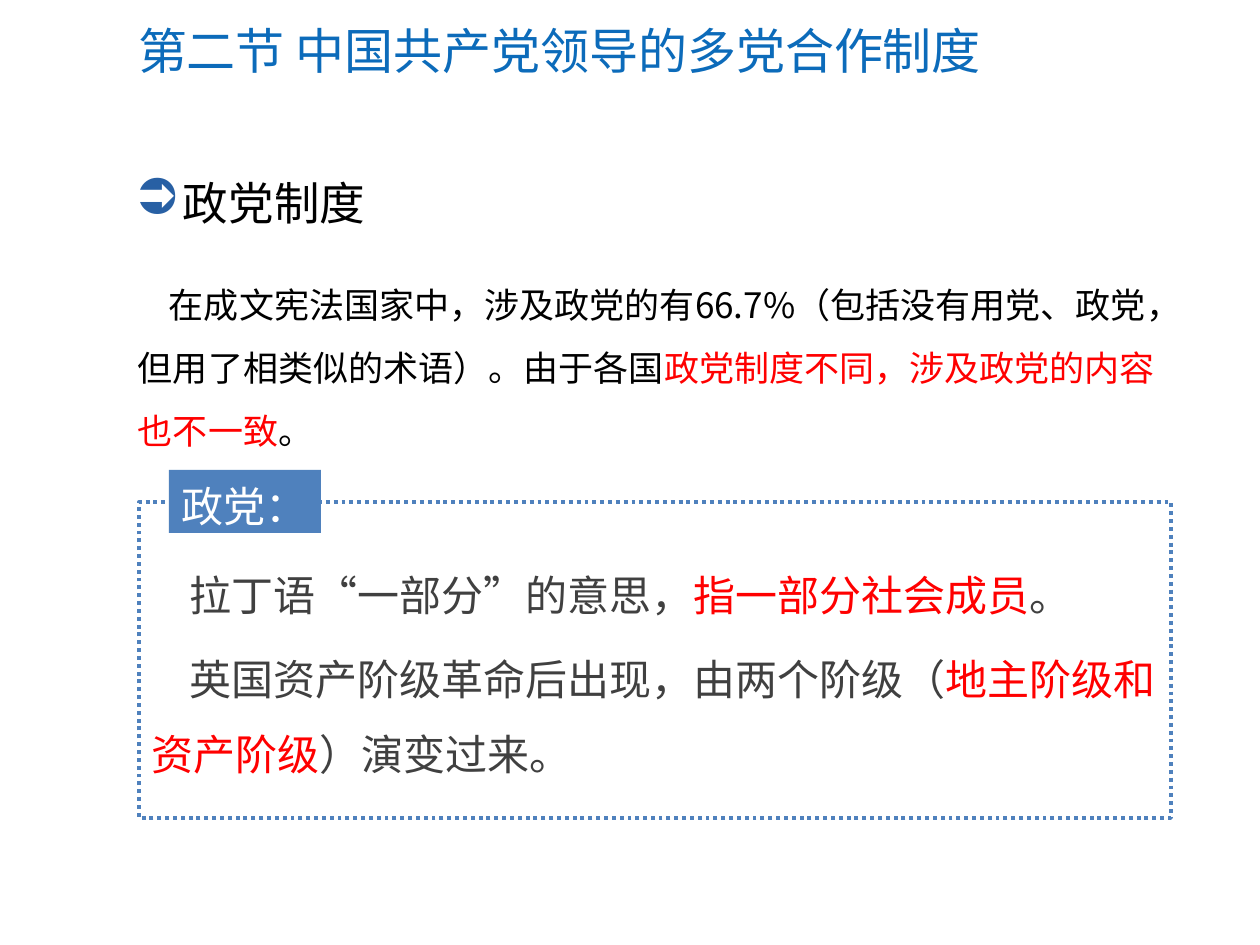
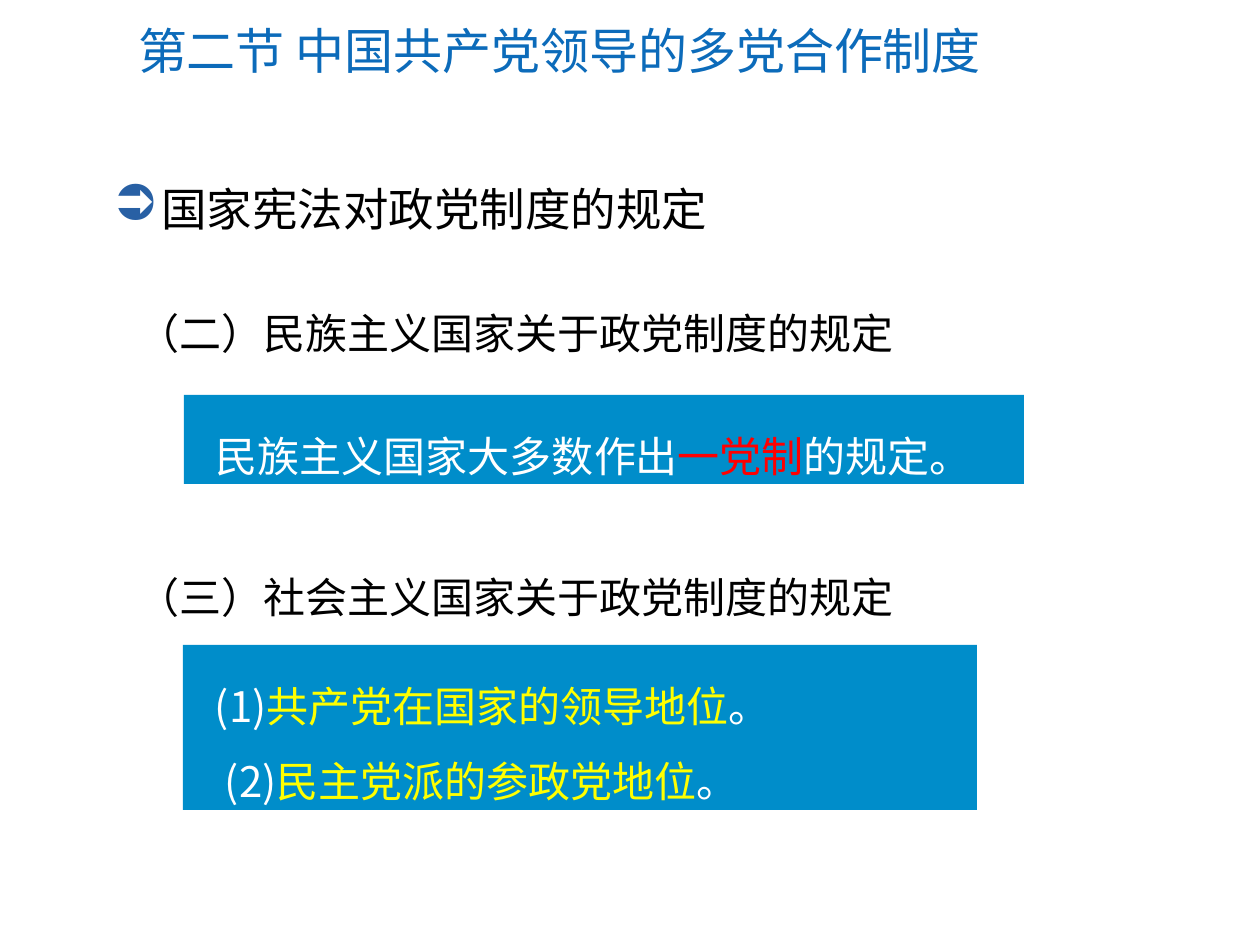
from lxml import etree
from pptx import Presentation
from pptx import util as u
from pptx.dml.color import RGBColor
from pptx.enum import dml, shapes, text
from pptx.oxml.ns import qn

EMU_PER_PX = 914400 / 126
SLIDE_SIZE = (1260, 945)
COLORS = {
    "title": "0C6BBA", "bullet": "2860A4", "black": "000000", "white": "FFFFFF",
    "red": "FF0000", "yellow": "FFFF00", "gray": "404040",
    "frame": "4F81BD", "panel": "008DCA",
}
HEAD_FONT, BODY_FONT = "Calibri", "Noto Sans CJK SC"
TITLE = "第二节 中国共产党领导的多党合作制度"
TITLE_BOX = (125, 13, 1099, 73)
HEADING_SIZE = (1051, 68)
HEADING_INDENT = 48
SINGLE, WIDE = 1.2, 1.8
INSETS = {"margin_left": 13, "margin_right": 13, "margin_top": 6, "margin_bottom": 6}
BODY_TOP = 10

SLIDES = [
    {
        "heading": ("政党制度", (122, 169)),
        "blocks": [
            {"box": (125, 253, 1047, 204), "size": 20, "paragraphs": [
                (31, [("在成文宪法国家中，涉及政党的有66.7%（包括没有用党、政党，但用了相类似的术语）。由于各国", "black"),
                      ("政党制度不同，涉及政党的内容也不一致", "red"), ("。", "black")])]},
            {"box": (139, 502, 1032, 316), "line": "frame", "top": 42, "gap": 4.8, "paragraphs": [
                (38, [("拉丁语“一部分”的意思，", "gray"), ("指一部分社会成员", "red"), ("。", "gray")]),
                (38, [("英国资产阶级革命后出现，由两个阶级（", "gray"),
                      ("地主阶级和资产阶级", "red"), ("）演变过来。", "gray")])]},
            {"box": (169, 470, 152, 63), "fill": "frame", "spacing": SINGLE, "wrap": False,
             "paragraphs": [(0, [("政党：", "white")])]},
        ],
    },
    {
        "heading": ("国家宪法对政党制度的规定", (100, 175)),
        "blocks": [
            {"box": (125, 272, 1061, 89),
             "paragraphs": [(0, [("（二）民族主义国家关于政党制度的规定", "black")])]},
            {"box": (184, 395, 840, 89), "fill": "panel", "paragraphs": [
                (19, [("民族主义国家大多数作出", "white"), ("一党制", "red"), ("的规定。", "white")])]},
            {"box": (125, 536, 1061, 89),
             "paragraphs": [(0, [("（三）社会主义国家关于政党制度的规定", "black")])]},
            {"box": (183, 645, 794, 165), "fill": "panel", "paragraphs": [
                (19, [("(1)", "white"), ("共产党在国家的领导地位", "yellow"), ("。", "white")]),
                (29, [("(2)", "white"), ("民主党派的参政党地位", "yellow"), ("。", "white")])]},
        ],
    },
]


def px(value):
    return round(value * EMU_PER_PX)


def rgb(name):
    return RGBColor.from_string(COLORS[name])


def apply(target, values):
    for name, value in values.items():
        setattr(target, name, value)


def place(shape, box):
    apply(shape, dict(zip(("left", "top", "width", "height"), map(px, box))))


def format_frame(frame, wrap=True, anchor=text.MSO_ANCHOR.TOP, **insets):
    apply(frame, {"word_wrap": wrap, "auto_size": text.MSO_AUTO_SIZE.NONE, "vertical_anchor": anchor})
    apply(frame, {name: px(value) for name, value in (INSETS | insets).items()})


def add_run(paragraph, words, size, font, color):
    run = paragraph.add_run()
    run.text = words
    apply(run.font, {"size": u.Pt(size), "name": font, "bold": False})
    run.font.color.rgb = rgb(color)
    east_asian = etree.SubElement(run.font._element, qn("a:ea"))
    east_asian.set("typeface", font)


def indent(paragraph, first, left=0):
    properties = paragraph._p.get_or_add_pPr()
    properties.set("marL", str(px(left)))
    properties.set("indent", str(px(first)))
    return properties


def add_title(slide):
    title = slide.shapes.title
    place(title, TITLE_BOX)
    format_frame(title.text_frame, anchor=text.MSO_ANCHOR.MIDDLE)
    paragraph = title.text_frame.paragraphs[0]
    paragraph.alignment = text.PP_ALIGN.LEFT
    add_run(paragraph, TITLE, 28, HEAD_FONT, "title")


def add_heading(slide, words, corner):
    heading = slide.shapes.add_textbox(*map(px, corner + HEADING_SIZE))
    format_frame(heading.text_frame)
    paragraph = heading.text_frame.paragraphs[0]
    properties = indent(paragraph, -HEADING_INDENT, HEADING_INDENT)
    bullet_color = etree.SubElement(properties, qn("a:buClr"))
    etree.SubElement(bullet_color, qn("a:srgbClr")).set("val", COLORS["bullet"])
    etree.SubElement(properties, qn("a:buSzPct")).set("val", "110000")
    etree.SubElement(properties, qn("a:buChar")).set("char", "➲")
    add_run(paragraph, words, 26, HEAD_FONT, "black")


def add_panel(slide, block):
    box = map(px, block["box"])
    if "fill" not in block and "line" not in block:
        return slide.shapes.add_textbox(*box)
    panel = slide.shapes.add_shape(shapes.MSO_SHAPE.RECTANGLE, *box)
    panel.shadow.inherit = False
    if "fill" in block:
        panel.fill.solid()
        panel.fill.fore_color.rgb = rgb(block["fill"])
    else:
        panel.fill.background()
    if "line" in block:
        panel.line.color.rgb = rgb(block["line"])
        apply(panel.line, {"width": u.Pt(2.25), "dash_style": dml.MSO_LINE.ROUND_DOT})
    else:
        panel.line.fill.background()
    return panel


def add_block(slide, block):
    frame = add_panel(slide, block).text_frame
    format_frame(frame, block.get("wrap", True), margin_top=block.get("top", BODY_TOP))
    size = block.get("size", 24)
    for index, (first, runs) in enumerate(block["paragraphs"]):
        paragraph = frame.add_paragraph() if index else frame.paragraphs[0]
        apply(paragraph, {
            "alignment": text.PP_ALIGN.LEFT,
            "line_spacing": u.Pt(size * block.get("spacing", WIDE)),
            "space_before": u.Pt(block.get("gap", 0) if index else 0),
        })
        indent(paragraph, first)
        for words, color in runs:
            add_run(paragraph, words, size, BODY_FONT, color)


def main():
    presentation = Presentation()
    apply(presentation, dict(zip(("slide_width", "slide_height"), map(px, SLIDE_SIZE))))
    for content in SLIDES:
        slide = presentation.slides.add_slide(presentation.slide_layouts[5])
        add_title(slide)
        add_heading(slide, *content["heading"])
        for block in content["blocks"]:
            add_block(slide, block)
    presentation.save("out.pptx")


if __name__ == "__main__":
    main()
